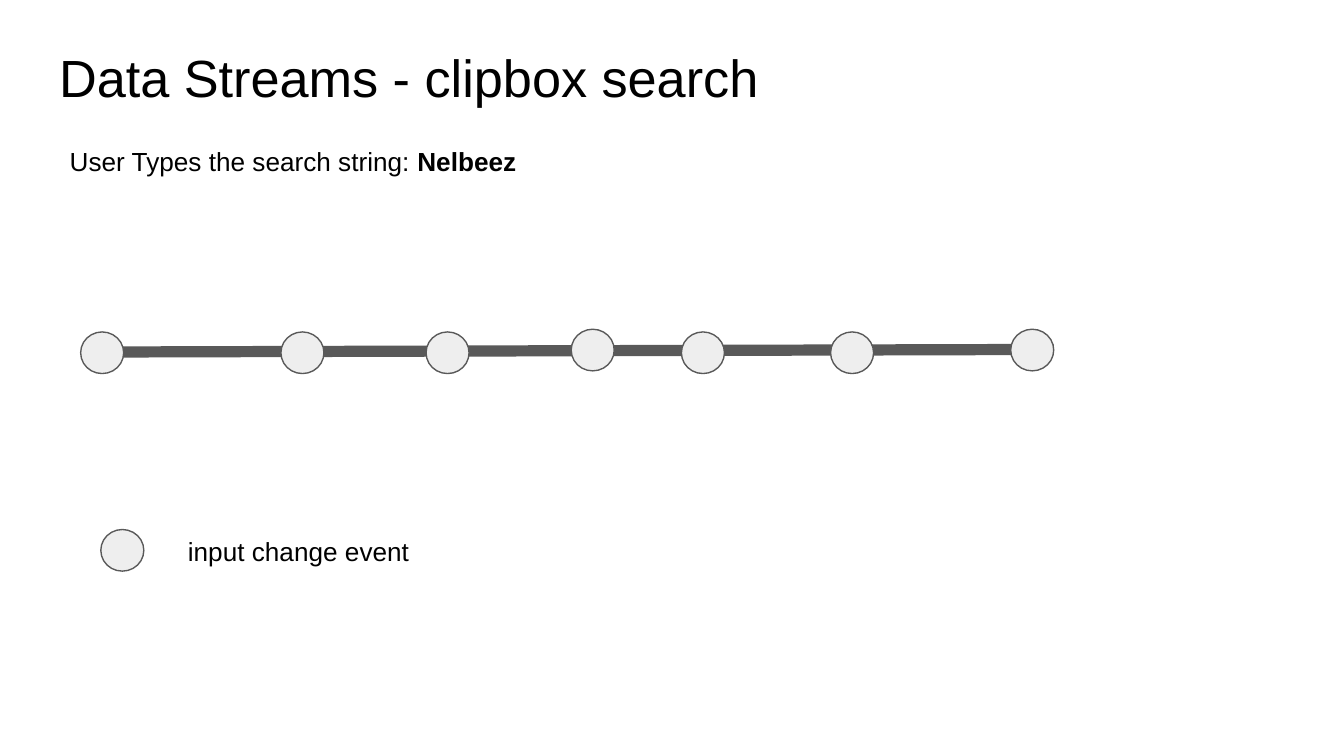
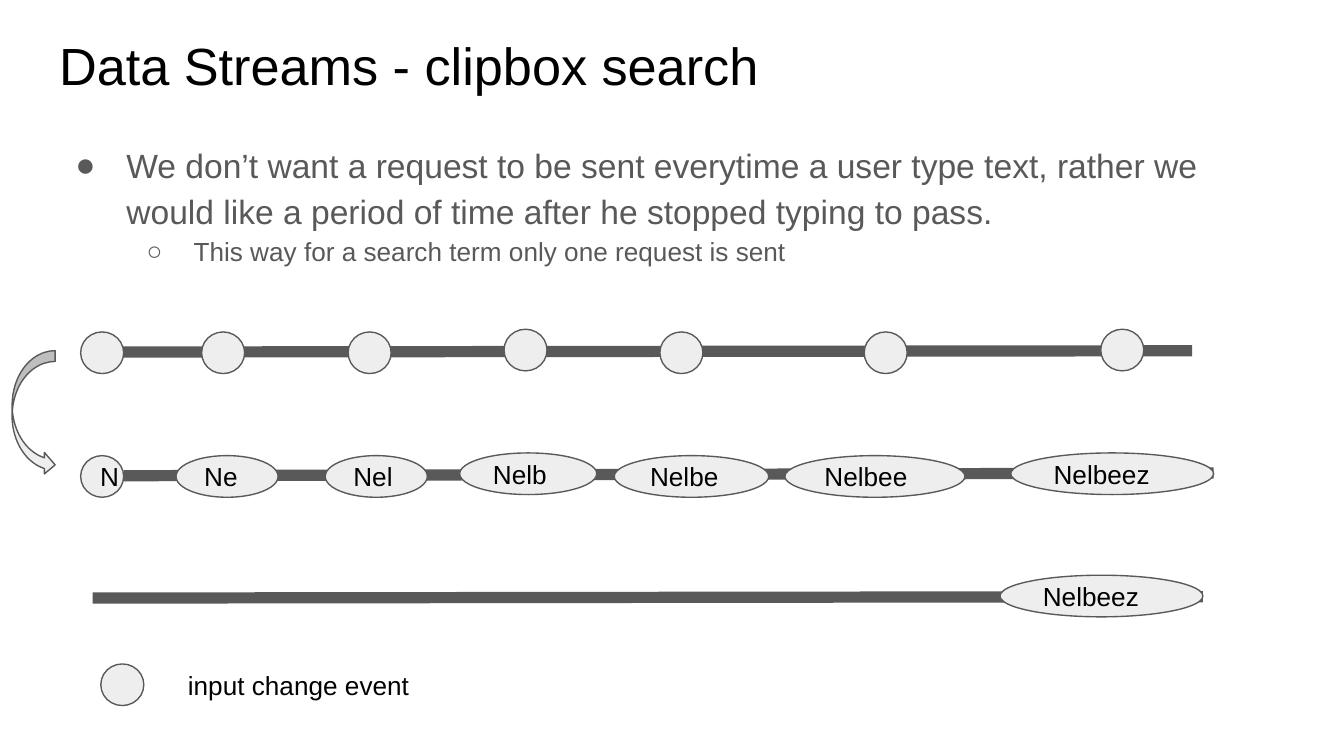
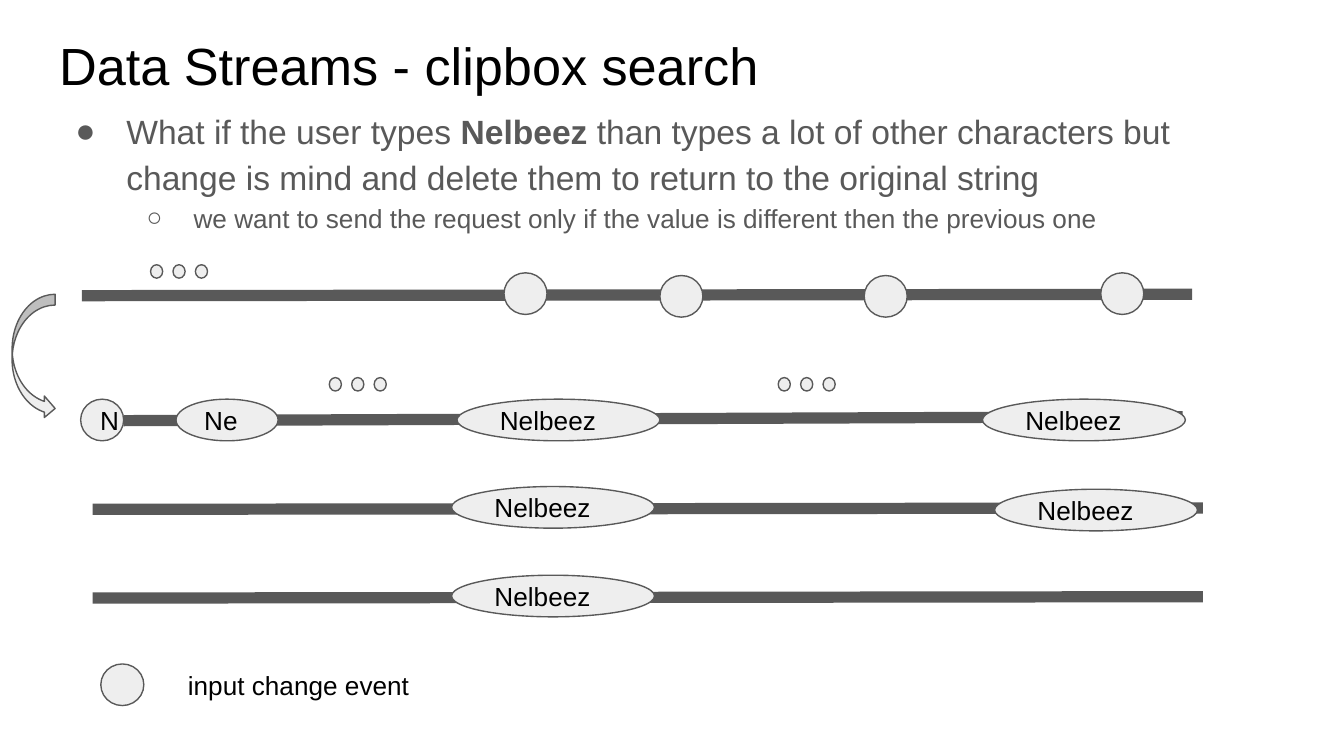
from dataclasses import dataclass

from lxml import etree
from pptx import Presentation
from pptx import util as u
from pptx.dml.color import RGBColor
from pptx.enum import shapes, text
from pptx.oxml import ns

BLACK = RGBColor(0x00, 0x00, 0x00)
GRAY = RGBColor(0x59, 0x59, 0x59)
PALE = RGBColor(0xEE, 0xEE, 0xEE)
FONT = "Arial"

WIDTH, HEIGHT = u.Inches(10), u.Inches(5.625)
COLUMNS, ROWS = 100, 56.25
TITLE_ONLY, TITLE_AND_BODY = 5, 1

HEADING = "Data Streams - clipbox search"
TERM = "Nelbeez"
EVENT_HEIGHT = 3.1
EVENT_WIDTHS = (3.2, 3.2, 7.6, 7.6, 10.2, 11.5, 13.4, 15.1)
DOT_WIDTH, DOT_HEIGHT, DOT_STEP = 0.9, 1.0, 1.67


@dataclass(frozen=True)
class Box:
    left: float
    top: float
    width: float
    height: float

    def emu(self) -> tuple[int, int, int, int]:
        return col(self.left), row(self.top), col(self.width), row(self.height)


@dataclass(frozen=True)
class Run:
    words: str
    bold: bool = False


@dataclass(frozen=True)
class Level:
    symbol: str
    size: int
    margin: float
    hanging: float


@dataclass(frozen=True)
class Event:
    left: float
    typed: int = 0
    lift: float = 0


@dataclass(frozen=True)
class Stream:
    start: float
    end: float
    axis: float
    rise: float
    events: tuple[Event, ...]


@dataclass(frozen=True)
class Page:
    title_top: float
    legend_top: float
    streams: tuple[Stream, ...]
    point: tuple[Run, ...] = ()
    detail: str = ""
    body_top: float = 0
    ellipses: tuple[tuple[float, float], ...] = ()


LEVELS = (Level("●", 18, 5, 3.8), Level("○", 14, 10, 3.5))

PAGES = (
    Page(
        title_top=2.4,
        legend_top=39.4,
        streams=(
            Stream(6.1, 78.4, 26.2, 0.2, (
                Event(6), Event(20.9), Event(31.7), Event(42.5, lift=0.2),
                Event(50.7), Event(61.8), Event(75.2, lift=0.2))),
        ),
    ),
    Page(
        title_top=1.5,
        legend_top=49.4,
        body_top=9.3,
        point=(Run("We don’t want a request to be sent everytime a user type text, "
                   "rather we would like a period of time after he stopped typing to pass."),),
        detail="This way for a search term only one request is sent",
        streams=(
            Stream(6.1, 88.7, 26.2, 0.1, (
                Event(6), Event(15), Event(25.9), Event(37.5, lift=0.2),
                Event(49.1), Event(64.3), Event(81.9, lift=0.2))),
            Stream(9.2, 90.3, 35.4, 0.2, (
                Event(6, 1), Event(13.1, 2), Event(24.2, 3), Event(34.2, 4, 0.2),
                Event(45.7, 5), Event(58.4, 6), Event(75.2, 7, 0.2))),
            Stream(6.9, 89.5, 44.5, 0.1, (Event(74.4, 7, 0.2),)),
        ),
    ),
    Page(
        title_top=1.5,
        legend_top=49.4,
        body_top=6.8,
        point=(Run("What if the user types "), Run(TERM + " ", True),
               Run("than types a lot of other characters but change is mind "
                   "and delete them to return to the original string")),
        detail="we want to send the request only if the value is different then the previous one",
        streams=(
            Stream(6.1, 88.7, 22, 0.1, (
                Event(37.5, lift=0.2), Event(49.1), Event(64.3), Event(81.9, lift=0.2))),
            Stream(9.2, 88, 31.3, 0.3, (
                Event(6, 1, 0.1), Event(13.1, 2, 0.1), Event(34, 7, 0.1), Event(73.1, 7, 0.1))),
            Stream(6.9, 89.5, 37.9, 0.1, (Event(33.6, 7, 0.2), Event(74, 7))),
            Stream(6.9, 89.5, 44.5, 0.1, (Event(33.6, 7, 0.2),)),
        ),
        ellipses=((11.2, 19.7), (24.5, 28.1), (57.9, 28.1)),
    ),
)


def col(count: float) -> int:
    return round(WIDTH * count / COLUMNS)


def row(count: float) -> int:
    return round(HEIGHT * count / ROWS)


def prepare(frame, anchor=text.MSO_ANCHOR.TOP) -> None:
    frame.word_wrap = True
    frame.auto_size = text.MSO_AUTO_SIZE.NONE
    frame.vertical_anchor = anchor
    frame.margin_left = frame.margin_right = col(1)
    frame.margin_top = frame.margin_bottom = row(1)


def write(paragraph, runs: tuple[Run, ...], size: int, color: RGBColor) -> None:
    paragraph.alignment = text.PP_ALIGN.LEFT
    for part in runs:
        run = paragraph.add_run()
        run.text = part.words
        run.font.name = FONT
        run.font.size = u.Pt(size)
        run.font.bold = part.bold
        run.font.color.rgb = color


def place(shape, box: Box) -> None:
    shape.left, shape.top, shape.width, shape.height = box.emu()
    prepare(shape.text_frame)


def add_label(slide, box: Box, *runs: Run) -> None:
    label = slide.shapes.add_textbox(*box.emu())
    prepare(label.text_frame)
    write(label.text_frame.paragraphs[0], runs, 14, BLACK)


def add_marker(slide, kind: shapes.MSO_SHAPE, box: Box, words: str = ""):
    marker = slide.shapes.add_shape(kind, *box.emu())
    marker.shadow.inherit = False
    marker.fill.solid()
    marker.fill.fore_color.rgb = PALE
    marker.line.color.rgb = GRAY
    marker.line.width = u.Pt(0.75)
    if words:
        prepare(marker.text_frame, text.MSO_ANCHOR.MIDDLE)
        write(marker.text_frame.paragraphs[0], (Run(words),), 14, BLACK)
    return marker


def add_event(slide, left: float, top: float, typed: int = 0) -> None:
    box = Box(left, top, EVENT_WIDTHS[typed], EVENT_HEIGHT)
    add_marker(slide, shapes.MSO_SHAPE.OVAL, box, TERM[:typed])


def add_stream(slide, stream: Stream) -> None:
    axis = slide.shapes.add_connector(
        shapes.MSO_CONNECTOR.STRAIGHT, col(stream.start), row(stream.axis),
        col(stream.end), row(stream.axis - stream.rise))
    axis.line.color.rgb = GRAY
    axis.line.width = u.Pt(6)
    etree.SubElement(axis._element.spPr, ns.qn("a:effectLst"))
    for event in stream.events:
        add_event(slide, event.left, stream.axis - 1.5 - event.lift, event.typed)


def add_legend(slide, top: float) -> None:
    add_event(slide, 7.5, top)
    add_label(slide, Box(13, top - 0.6, 19.4, 5.2), Run("input change event"))


def add_mapping_arrow(slide, first: Stream) -> None:
    arrow = add_marker(slide, shapes.MSO_SHAPE.CURVED_RIGHT_ARROW,
                       Box(0.9, first.axis - 0.1, 3.2, 9.3))
    for index, share in enumerate((0.25, 0.5, 0.25)):
        arrow.adjustments[index] = share


def add_bullet(paragraph, level: Level) -> None:
    paragraph.line_spacing = 1.15
    paragraph.space_before = paragraph.space_after = u.Pt(0)
    properties = paragraph._p.get_or_add_pPr()
    properties.set("marL", str(col(level.margin)))
    properties.set("indent", str(-col(level.hanging)))
    color = etree.SubElement(properties, ns.qn("a:buClr"))
    etree.SubElement(color, ns.qn("a:srgbClr"), val=str(GRAY))
    etree.SubElement(properties, ns.qn("a:buFont"), typeface=FONT)
    etree.SubElement(properties, ns.qn("a:buChar"), char=level.symbol)


def fill_body(slide, page: Page) -> None:
    body = slide.placeholders[1]
    place(body, Box(3.4, page.body_top, 93.2, 8.8))
    frame = body.text_frame
    for depth, runs in enumerate((page.point, (Run(page.detail),))):
        paragraph = frame.add_paragraph() if depth else frame.paragraphs[0]
        paragraph.level = depth
        write(paragraph, runs, LEVELS[depth].size, GRAY)
        add_bullet(paragraph, LEVELS[depth])


def build_page(deck, page: Page) -> None:
    layout = TITLE_AND_BODY if page.point else TITLE_ONLY
    slide = deck.slides.add_slide(deck.slide_layouts[layout])
    place(slide.shapes.title, Box(3.4, page.title_top, 93.2, 6.3))
    write(slide.shapes.title.text_frame.paragraphs[0], (Run(HEADING),), 28, BLACK)
    if page.point:
        fill_body(slide, page)
        add_mapping_arrow(slide, page.streams[0])
    else:
        add_label(slide, Box(4.2, 9.8, 65.1, 7.6),
                  Run("User Types the search string: "), Run(TERM, True))
    for stream in page.streams:
        add_stream(slide, stream)
    for left, top in page.ellipses:
        for step in range(3):
            add_marker(slide, shapes.MSO_SHAPE.OVAL,
                       Box(left + step * DOT_STEP, top, DOT_WIDTH, DOT_HEIGHT))
    add_legend(slide, page.legend_top)


def main() -> None:
    deck = Presentation()
    deck.slide_width, deck.slide_height = WIDTH, HEIGHT
    for page in PAGES:
        build_page(deck, page)
    deck.save("out.pptx")


if __name__ == "__main__":
    main()
